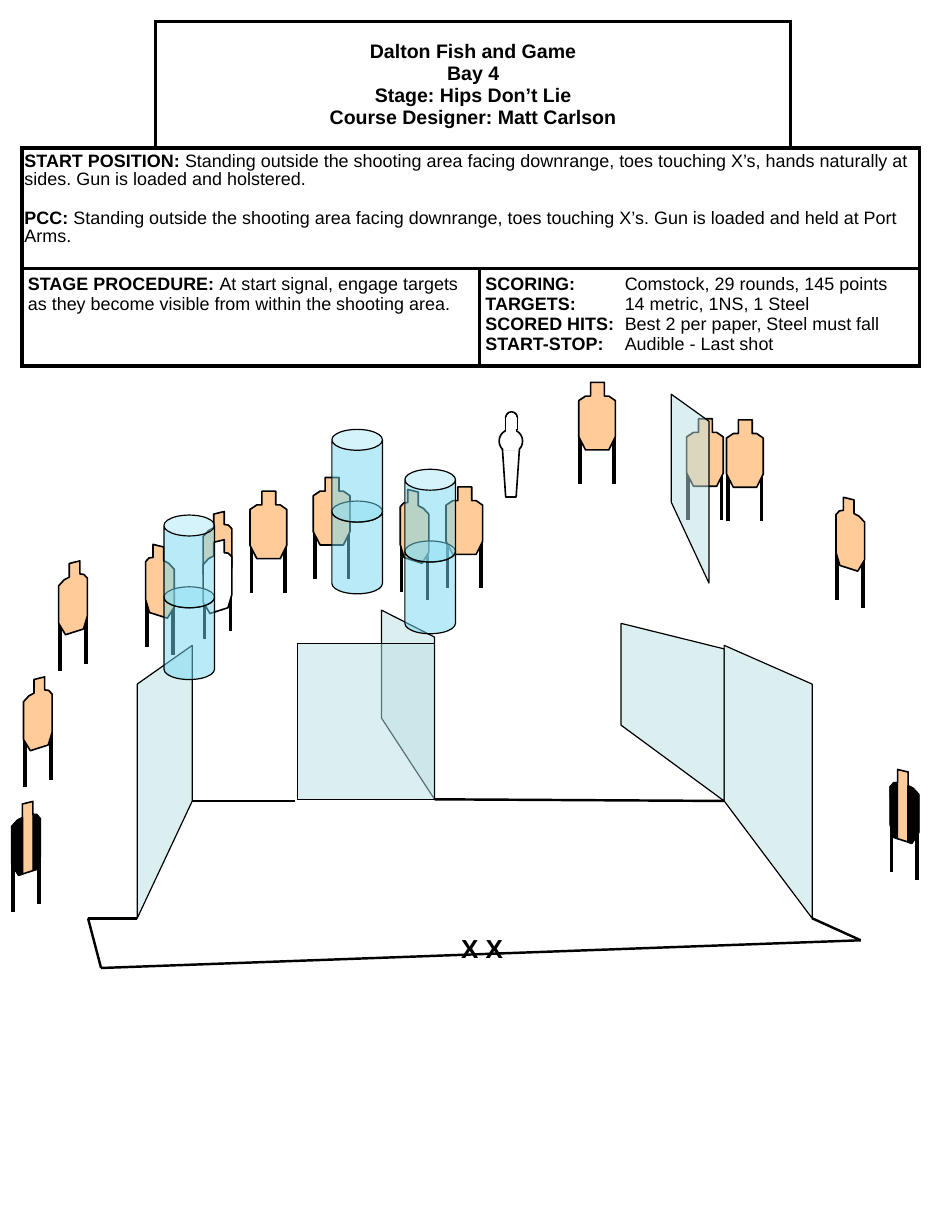
"""Build a one-page shooting stage plan with briefing table and target layout."""
import pptx
import pptx.dml.color
import pptx.enum.shapes
import pptx.enum.text
import pptx.oxml.ns
import pptx.util
from lxml import etree

Pt = pptx.util.Pt
RGB = pptx.dml.color.RGBColor.from_string
qn = pptx.oxml.ns.qn
SHAPE = pptx.enum.shapes.MSO_SHAPE
C = {"black": "000000", "white": "FFFFFF", "target": "FFCC99", "wall": "BBE0E3", "barrel": "73D9F1"}

prs = pptx.Presentation()
prs.slide_width, prs.slide_height = Pt(576), Pt(756)
s = prs.slides.add_slide(prs.slide_layouts[6])


def paint(sp, fill, line, width, alpha=None):
    sp.shadow.inherit = False
    sp.fill.solid()
    sp.fill.fore_color.rgb = RGB(C[fill])
    if alpha:
        clr = sp.element.spPr.find(qn("a:solidFill")).find(qn("a:srgbClr"))
        etree.SubElement(clr, qn("a:alpha"), val=str(alpha * 1000))
    if line:
        sp.line.color.rgb = RGB(C[line])
        sp.line.width = Pt(width)
    else:
        sp.line.fill.background()


def rod(x1, y1, x2, y2, width):
    cn = s.shapes.add_connector(pptx.enum.shapes.MSO_CONNECTOR.STRAIGHT, Pt(x1), Pt(y1), Pt(x2), Pt(y2))
    cn.line.color.rgb = RGB(C["black"])
    cn.line.width = Pt(width)
    etree.SubElement(cn.element.spPr, qn("a:effectLst"))


front = [(7.3, 0), (15.8, 0), (15.8, 8.4), (18.5, 8.4), (22.5, 11.2), (22.5, 33.3),
         (18.5, 41.4), (4.2, 41.4), (0, 33.3), (0, 11.2), (4.2, 8.4), (7.3, 8.4)]
turned = [(6.5, 1.6), (13, 0), (13, 8), (15.4, 8.3), (17.6, 10.6), (17.6, 33.8),
          (15.2, 41.8), (4.2, 45.3), (0, 38.4), (0, 15.3), (3.4, 11.6), (6.5, 10)]
hard_cover = [[(0, 39), (4.3, 45.4), (6.8, 44.6), (6.8, 10.1), (4.3, 11), (0, 15.8)],
              [(13, 7.9), (15.4, 7.9), (17.6, 10.8), (17.5, 33.1), (15.2, 41), (13, 42.5)]]
front_legs = [(0.9, 31, 31.2), (21.5, 31, 31.2)]
turned_legs = [(0.9, 36.5, 31.2), (16.8, 31.8, 31.2)]
pair_legs = [(0.9, 49.7, 28.4), (16.8, 45, 28.4)]

targets = [
    (124.6, 313.9, "left", pair_legs, "target", False),
    (124.6, 331.2, "left", [], "white", False),
    (89.3, 334.1, "right", turned_legs, "target", False),
    (273.6, 298.8, "front", front_legs, "target", False),
    (245.5, 300.4, "right", turned_legs, "target", False),
    (192.2, 293, "front", front_legs, "target", False),
    (153.4, 301.4, "front", front_legs, "target", False),
    (14.4, 415.4, "left", turned_legs, "target", False),
    (355, 234.7, "front", front_legs, "target", False),
    (421.2, 257, "front", front_legs, "target", False),
    (445.7, 257.6, "front", front_legs, "target", False),
    (512.8, 305.2, "right", turned_legs, "target", False),
    (546, 472.2, "right", turned_legs, "target", True),
    (7.2, 491.8, "left", turned_legs, "target", True),
    (36, 344.2, "left", turned_legs, "target", False),
]
for x, y, facing, legs, fill, covered in targets:
    sign, x0 = (-1, x + 17.6) if facing == "right" else (1, x)
    for dx, top, length in legs:
        rod(x0 + sign * dx, y + top, x0 + sign * dx, y + top + length, 2.25)
    parts = [(front if facing == "front" else turned, fill, 1)]
    if covered:
        parts += [(strip, "black", 0) for strip in hard_cover]
    for outline, colour, width in parts:
        pts = [(Pt(x0 + sign * dx), Pt(y + dy)) for dx, dy in outline]
        fb = s.shapes.build_freeform(*pts[0])
        fb.add_line_segments(pts[1:])
        paint(fb.convert_to_shape(), colour, "black", width)

tbl = s.shapes.add_table(3, 4, Pt(13.5), Pt(13), Pt(550.8), Pt(211.6)).table
tbl.first_row = tbl.horz_banding = False
for col, width in zip(tbl.columns, (82, 198.7, 190.9, 79.2)):
    col.width = Pt(width)
for row, height in zip(tbl.rows, (77.8, 74, 59.8)):
    row.height = Pt(height)
for r, first, last in ((0, 1, 2), (1, 0, 3), (2, 0, 1), (2, 2, 3)):
    tbl.cell(r, first).merge(tbl.cell(r, last))

bold_leads = {
    (1, 0): [("START POSITION:", " Standing outside the shooting area facing downrange, toes touching X’s, "
              "hands naturally at sides. Gun is loaded and holstered."),
             ("PCC:", " Standing outside the shooting area facing downrange, toes touching X’s. "
              "Gun is loaded and held at Port Arms.")],
    (2, 0): [("STAGE PROCEDURE: ", "At start signal, engage targets as they become visible "
              "from within the shooting area.")],
    (2, 2): [("SCORING:", "\tComstock, 29 rounds, 145 points"),
             ("TARGETS:", "\t14 metric, 1NS, 1 Steel"),
             ("SCORED HITS:", "\tBest 2 per paper, Steel must fall"),
             ("START-STOP:", "\tAudible - Last shot")],
}
edges = {(0, 0): "RB", (0, 3): "LB"}
for r in range(3):
    for c in range(4):
        cell = tbl.cell(r, c)
        cell.margin_left = cell.margin_right = Pt(1.5 if r == 1 else 3.6)
        cell.margin_top = cell.margin_bottom = Pt(2.9 if r == 1 else 3.6)
        tcPr = cell._tc.get_or_add_tcPr()
        for side in "LRTB":
            if side in edges.get((r, c), "LRTB"):
                ln = etree.SubElement(tcPr, qn("a:ln" + side), w=str(Pt(2.25)))
                solid = etree.SubElement(ln, qn("a:solidFill"))
                etree.SubElement(solid, qn("a:srgbClr"), val=C["black"])
            else:
                ln = etree.SubElement(tcPr, qn("a:ln" + side), w="0")
                etree.SubElement(ln, qn("a:noFill"))
        cell.fill.solid()
        cell.fill.fore_color.rgb = RGB(C["white"])
        tf = cell.text_frame
        for i, (lead, rest) in enumerate(bold_leads.get((r, c), [])):
            p = tf.add_paragraph() if i else tf.paragraphs[0]
            if r == 1:
                p.line_spacing = 0.9
                if i:
                    p.space_before = Pt(13)
            if rest.startswith("\t"):
                tabs = etree.SubElement(p._p.get_or_add_pPr(), qn("a:tabLst"))
                etree.SubElement(tabs, qn("a:tab"), pos=str(Pt(85.5)), algn="l")
            p.font.name, p.font.size = "Arial", Pt(11)
            p.font.color.rgb = RGB(C["black"])
            for text, bold in ((lead, True), (rest, False)):
                run = p.add_run()
                run.text, run.font.bold = text, bold

title = tbl.cell(0, 1)
title.vertical_anchor = pptx.enum.text.MSO_ANCHOR.MIDDLE
p = title.text_frame.paragraphs[0]
p.text = "Dalton Fish and Game\vBay 4\vStage: Hips Don’t Lie\vCourse Designer: Matt Carlson"
p.alignment = pptx.enum.text.PP_ALIGN.CENTER
p.font.name, p.font.size, p.font.bold = "Arial", Pt(12), True
p.font.color.rgb = RGB(C["black"])

tf = s.shapes.add_textbox(Pt(275.8), Pt(568.8), Pt(41.8), Pt(26.6)).text_frame
p = tf.paragraphs[0]
p.text = "X X"
p.font.name, p.font.size, p.font.bold = "Arial", Pt(16), True
p.font.color.rgb = RGB(C["black"])

walls = [
    [(234, 440.6), (266.6, 490.5), (266.6, 391), (234, 374.4)],
    [(444.2, 491.5), (498.2, 563.5), (498.2, 419.8), (444.2, 396)],
    [(266.6, 490.5), (182.6, 490.5), (182.6, 395), (266.6, 395)],
    [(381, 445), (444.2, 491.5), (444.2, 398.2), (381, 382.5)],
    [(118, 491.5), (84.2, 563.5), (84.2, 419.8), (118, 396)],
    [(411.8, 308.2), (434.9, 357.8), (434.9, 258.5), (411.8, 241.9)],
]
for wall in walls:
    pts = [(Pt(x), Pt(y)) for x, y in wall]
    fb = s.shapes.build_freeform(*pts[0])
    fb.add_line_segments(pts[1:])
    paint(fb.convert_to_shape(), "wall", "black", 0.75, 50)

for fault_line in ((498.2, 563.5, 528, 577), (528, 577, 62, 594), (444.2, 491.5, 266.6, 490.5),
                   (84.2, 563.5, 54, 563.5), (62, 594, 54, 563.5), (181, 491.5, 118, 491.5)):
    rod(*fault_line, 1.5)

for x, y in ((100.6, 316.1), (203.6, 263.5), (248.4, 288)):
    for dy in (44, 0):
        sp = s.shapes.add_shape(SHAPE.CAN, Pt(x), Pt(y + dy), Pt(31), Pt(56.9))
        sp.adjustments[0] = 0.413
        paint(sp, "barrel", "black", 0.75, 50)

for kind, x, y, w, h in ((SHAPE.OVAL, 310.2, 252.7, 7.2, 7.2), (SHAPE.OVAL, 306.2, 263.5, 14.4, 14.4)):
    paint(s.shapes.add_shape(kind, Pt(x), Pt(y), Pt(w), Pt(h)), "white", "black", 1)
fb = s.shapes.build_freeform(Pt(308.2), Pt(275.8))
fb.add_line_segments([(Pt(318.6), Pt(275.8)), (Pt(316.6), Pt(305)), (Pt(310.2), Pt(305))])
paint(fb.convert_to_shape(), "white", "black", 1)
for x, y, w, h, line in ((310.2, 256.3, 7.2, 7.2, "black"), (308.8, 274.8, 9.4, 1.6, None),
                         (311.2, 263.5, 5, 1.4, "white"), (311, 256.3, 5.6, 0.7, "white")):
    paint(s.shapes.add_shape(SHAPE.RECTANGLE, Pt(x), Pt(y), Pt(w), Pt(h)), "white", line, 1)

prs.save("out.pptx")
